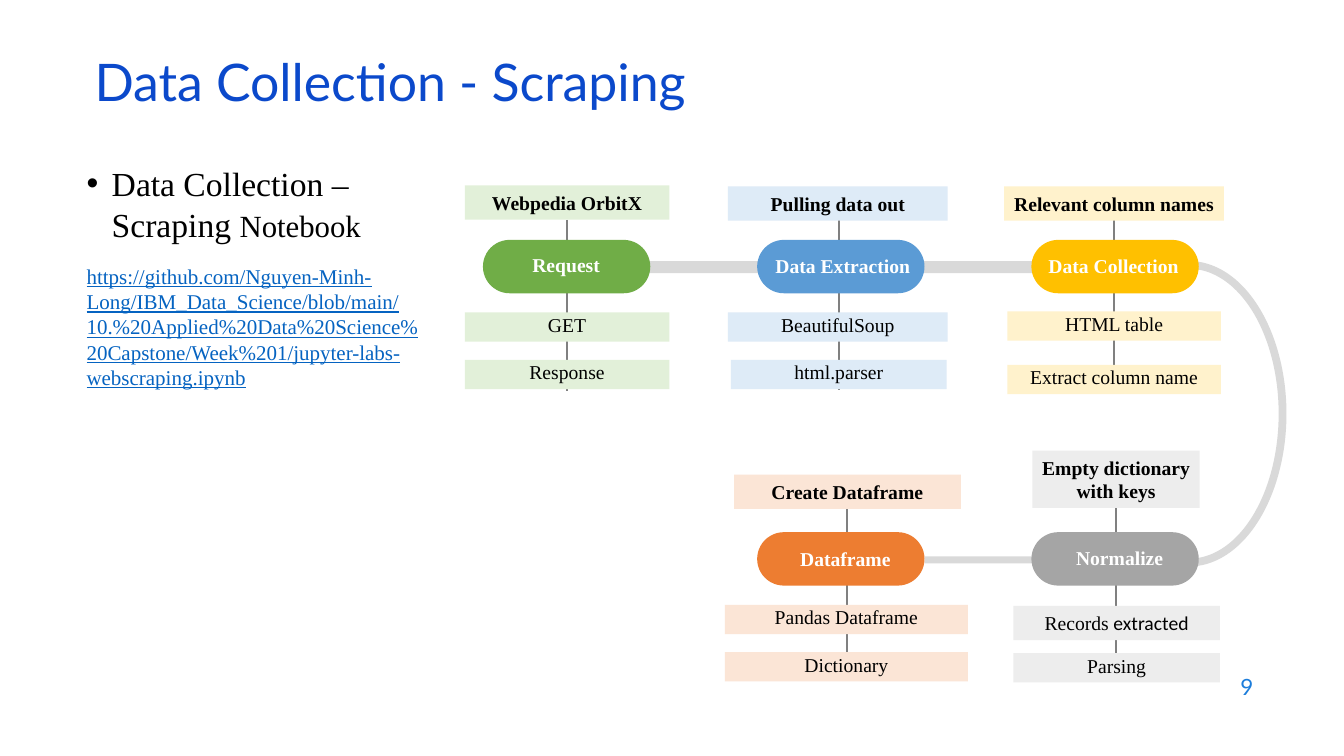
from lxml import etree
from pptx import Presentation
from pptx import util as u
from pptx.dml.color import RGBColor
from pptx.enum import shapes, text
from pptx.oxml import ns

SERIF = "Times New Roman"
BLACK, WHITE, TRACK, STEM = "000000", "FFFFFF", "D9D9D9", "808080"
LEFT, CENTER, RIGHT = text.PP_ALIGN.LEFT, text.PP_ALIGN.CENTER, text.PP_ALIGN.RIGHT
TOP, MIDDLE = text.MSO_ANCHOR.TOP, text.MSO_ANCHOR.MIDDLE
RECT = shapes.MSO_SHAPE.RECTANGLE
WIDE, NARROW = 0.1, 0.04  # side margins of text


def color(value):
    return RGBColor.from_string(value)


class SlideBuilder:
    """Holds the style and the current slide."""

    def __init__(self, slide, font=SERIF, size=14):
        self.slide, self.font, self.size = slide, font, size

    def shape(self, kind, area, fill, adjustments=()):
        shape = self.slide.shapes.add_shape(kind, *map(u.Inches, area))
        shape.shadow.inherit = False
        shape.fill.solid()
        shape.fill.fore_color.rgb = color(fill)
        shape.line.fill.background()
        for index, value in enumerate(adjustments):
            shape.adjustments[index] = value
        return shape

    def box(self, area, anchor=TOP, side=WIDE):
        box = self.slide.shapes.add_textbox(*map(u.Inches, area))
        self.frame(box, anchor, side)
        return box

    def frame(self, shape, anchor=TOP, side=WIDE):
        frame = shape.text_frame
        frame.word_wrap = True
        frame.vertical_anchor = anchor
        frame.margin_left = frame.margin_right = u.Inches(side)

    def span(self, para, words, ink=BLACK, size=None, font=None, bold=False, underline=False):
        span = para.add_run()
        span.text = words
        span.font.name = font or self.font
        span.font.size = u.Pt(size or self.size)
        span.font.bold = bold
        span.font.underline = underline
        span.font.color.rgb = color(ink)

    def label(self, area, words, align=CENTER, anchor=TOP, spacing=None, side=WIDE, **style):
        para = self.box(area, anchor, side).text_frame.paragraphs[0]
        para.alignment = align
        para.line_spacing = spacing
        self.span(para, words, **style)

    def bar(self, area, fill, spans, spacing=None, bold=False):
        bar = self.shape(RECT, area, fill)
        self.frame(bar, side=NARROW)
        para = bar.text_frame.paragraphs[0]
        para.alignment = CENTER
        para.line_spacing = spacing
        for words, font in spans:
            self.span(para, words, font=font, bold=bold)

    def stem(self, x, top, bottom):
        line = self.slide.shapes.add_connector(
            shapes.MSO_CONNECTOR.STRAIGHT, *map(u.Inches, (x, top, x, bottom)))
        line.line.color.rgb = color(STEM)
        line.line.width = u.Pt(1.5)
        etree.SubElement(line._element.spPr, ns.qn("a:effectLst"))

    def bullet(self, para, indent):
        props = para._p.get_or_add_pPr()
        props.set("marL", str(u.Inches(indent)))
        props.set("indent", str(-u.Inches(indent)))
        etree.SubElement(props, ns.qn("a:buFont")).set("typeface", "Arial")
        etree.SubElement(props, ns.qn("a:buChar")).set("char", "•")

    def stage(self, stem, pill, pill_fill, bar_fill, header, name, rows):
        """A pill on a stem, with a header bar above and detail bars below."""
        self.stem(*stem)
        self.shape(shapes.MSO_SHAPE.ROUNDED_RECTANGLE, (*pill, 1.66, 0.53), pill_fill, (0.5,))
        header_area, header_words = header
        self.bar(header_area, bar_fill, [(header_words, None)], bold=True)
        for area, spans, spacing in rows:
            self.bar(area, bar_fill, spans, spacing)
        (left, top, width), words = name
        self.label((left, top, width, 0.34), words, side=NARROW, ink=WHITE, bold=True)


def row(left, top, width, words):
    return (left, top, width, 0.29), [(words, None)], 0.8


# Each stage: stem, pill corner, pill fill, bar fill, header, name, rows
STAGES = [
    ((5.62, 2.18, 3.88), (4.79, 2.38), "70AD47", "E2F0D9",
     ((4.61, 1.84, 2.03, 0.34), "Webpedia OrbitX"),
     ((4.89, 2.46, 1.45), "Request"),
     [row(4.61, 3.1, 2.03, "GET"), row(4.61, 3.57, 2.03, "Response")]),
    ((8.32, 2.18, 3.87), (7.51, 2.38), "5B9BD5", "DEEBF7",
     ((7.22, 1.85, 2.18, 0.34), "Pulling data out"),
     ((7.51, 2.47, 1.7), "Data Extraction"),
     [row(7.22, 3.1, 2.18, "BeautifulSoup"), row(7.25, 3.57, 2.14, "html.parser")]),
    ((11.05, 2.18, 3.91), (10.23, 2.38), "FFC000", "FFF2CC",
     ((9.96, 1.85, 2.18, 0.34), "Relevant column names"),
     ((10.3, 2.47, 1.49), "Data Collection"),
     [row(9.99, 3.09, 2.12, "HTML table"), row(9.99, 3.62, 2.12, "Extract column name")]),
    ((8.4, 4.71, 6.76), (7.51, 5.28), "ED7D31", "FBE5D6",
     ((7.28, 4.71, 2.25, 0.34), "Create Dataframe"),
     ((7.33, 5.38, 2.11), "Dataframe"),
     [row(7.19, 6, 2.41, "Pandas Dataframe"), row(7.19, 6.47, 2.41, "Dictionary")]),
    ((11.07, 5.04, 6.77), (10.23, 5.28), "A5A5A5", "EDEDED",
     ((10.24, 4.47, 1.66, 0.57), "Empty dictionary with keys"),
     ((10.38, 5.37, 1.45), "Normalize"),
     [((10.05, 6.01, 2.05, 0.34), [("Records", None), (" extracted", "Calibri")], None),
      row(10.05, 6.48, 2.05, "Parsing")]),
]
NOTEBOOK_URL = ("https://github.com/Nguyen-Minh-Long/IBM_Data_Science/blob/main/"
                "10.%20Applied%20Data%20Science%20Capstone/Week%201/"
                "jupyter-labs-webscraping.ipynb")


def main():
    deck = Presentation()
    deck.slide_width, deck.slide_height = u.Inches(13.33), u.Inches(7.5)
    page = SlideBuilder(deck.slides.add_slide(deck.slide_layouts[6]))

    # Track that joins the stages
    page.shape(shapes.MSO_SHAPE.BLOCK_ARC, (10.83, 2.59, 1.93, 3.03), TRACK,
               (161.27, 54.9, 0.04))
    page.shape(RECT, (5.67, 2.59, 6.17, 0.12), TRACK)
    page.shape(RECT, (9.17, 5.52, 2.62, 0.07), TRACK)

    # Page number and title
    page.label((9.53, 6.59, 3, 0.44), "9", RIGHT, MIDDLE, ink="1C7DDB", size=16, font="Lato")
    page.label((0.84, 0.58, 11.5, 0.6), "Data Collection - Scraping", LEFT, MIDDLE, 0.7,
               ink="0B49CB", size=37, font="Lato")

    # Stages
    for stage in STAGES:
        page.stage(*stage)

    # Notebook reference
    body = page.box((0.76, 1.57, 3.55, 4.17)).text_frame
    heading = body.paragraphs[0]
    page.bullet(heading, 0.25)
    page.span(heading, "Data Collection – Scraping ", size=24)
    page.span(heading, "Notebook", size=22)
    address = body.add_paragraph()
    address.space_before = u.Pt(14)
    page.span(address, NOTEBOOK_URL, ink="0563C1", size=15, underline=True)

    deck.save("out.pptx")


if __name__ == "__main__":
    main()
